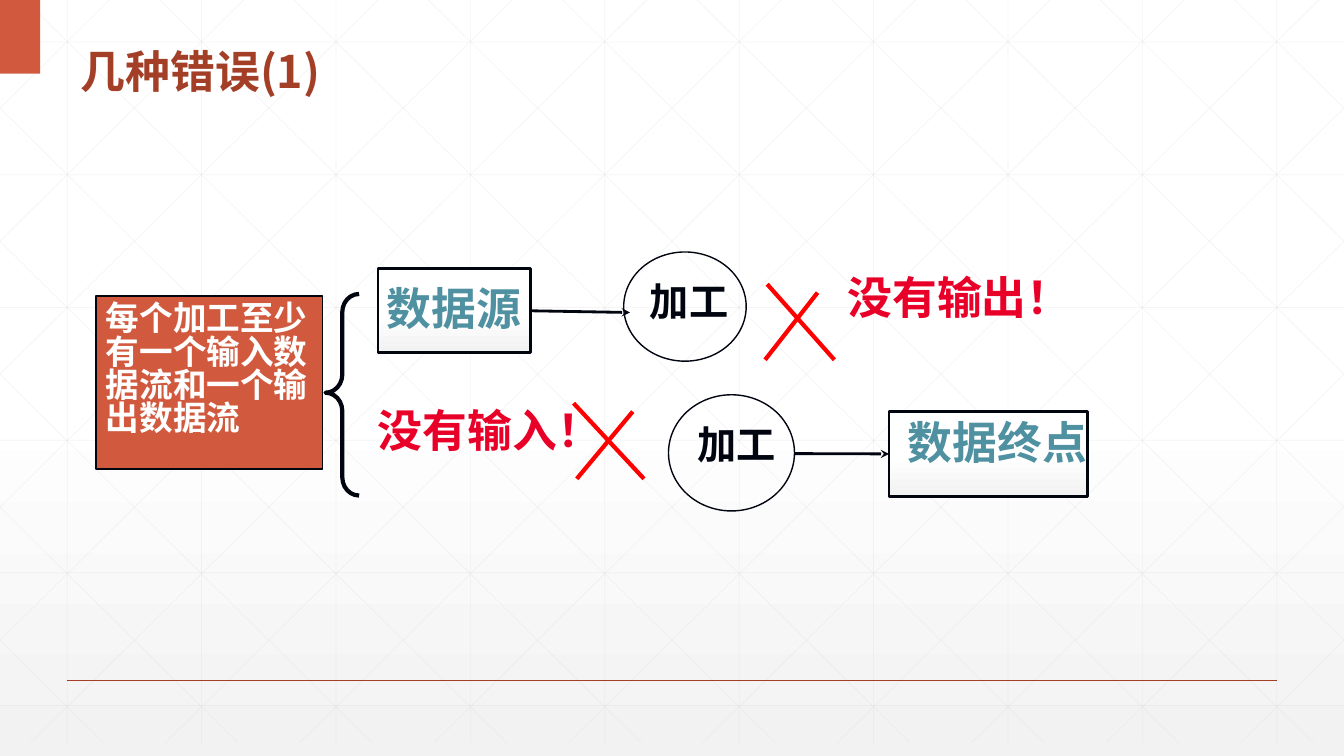
"""Build the slide on common data flow diagram errors."""
import pptx
import pptx.dml.color
import pptx.enum.shapes
import pptx.enum.text
import pptx.oxml.ns
import pptx.util
from lxml import etree

Pt = pptx.util.Pt
RGB = pptx.dml.color.RGBColor.from_string
qn = pptx.oxml.ns.qn
SHAPE = pptx.enum.shapes.MSO_SHAPE
ANCHOR = pptx.enum.text.MSO_ANCHOR
ALIGN = pptx.enum.text.PP_ALIGN
FONT = "Noto Sans CJK SC"
COLORS = {
    "white": "FFFFFF", "pale": "F2F2F2", "grid": "D9D9D9", "ink": "01050F",
    "orange": "D15A3E", "rust": "A43F27", "teal": "4F91A1",
    "crimson": "E80029", "red": "FF0000",
}


def draw_line(start, end, color, width, alpha=None, arrow=False):
    line = slide.shapes.add_connector(
        pptx.enum.shapes.MSO_CONNECTOR.STRAIGHT, *map(Pt, start + end))
    line.line.color.rgb = RGB(COLORS[color])
    line.line.width = Pt(width)
    properties = line._element.spPr
    if alpha:
        hue = properties.find(".//" + qn("a:srgbClr"))
        etree.SubElement(hue, qn("a:alpha"), val=str(alpha * 1000))
    if arrow:
        etree.SubElement(properties.find(qn("a:ln")), qn("a:tailEnd"), type="stealth")
    etree.SubElement(properties, qn("a:effectLst"))
    return line


def write(shape, text, size, color, spacing=0.92, align=ALIGN.LEFT):
    frame = shape.text_frame
    frame.text = text
    for para in frame.paragraphs:
        para.alignment = align
        para.line_spacing = spacing
        for span in para.runs:
            span.font.size = Pt(size)
            span.font.bold = True
            span.font.name = FONT
            span.font.color.rgb = RGB(COLORS[color])
            etree.SubElement(span.font._element, qn("a:ea"), typeface=FONT)


deck = pptx.Presentation()
deck.slide_width = Pt(960)
deck.slide_height = Pt(540)
slide = deck.slides.add_slide(deck.slide_layouts[5])
shapes = slide.shapes

grid_bottom = 530.6
slope = 0.99
grid = [((48 + 96 * i, 0), (48 + 96 * i, grid_bottom)) for i in range(10)]
grid += [((0, 30 + 94.8 * i), (960, 30 + 94.8 * i)) for i in range(6)]
for i in range(-5, 10):
    origin = 18 + 96 * i
    left = max(origin, 0)
    right = min(origin + grid_bottom / slope, 960)
    top, bottom = (left - origin) * slope, (right - origin) * slope
    grid.append(((left, top), (right, bottom)))
    grid.append(((960 - left, top), (960 - right, bottom)))
for start, end in grid:
    draw_line(start, end, "grid", 0.5, alpha=25)
draw_line((48, 486), (912, 486), "rust", 1)

title = shapes.title
shapes._spTree.append(title._element)
title.left, title.top, title.width, title.height = map(Pt, (50.4, 18.7, 409.7, 52.6))
title.text_frame.vertical_anchor = ANCHOR.MIDDLE
title.text_frame.auto_size = pptx.enum.text.MSO_AUTO_SIZE.NONE
write(title, "几种错误(1)", 32, "rust", spacing=1.3)

outlines = {}
for name, kind, place, fill, width in [
    ("corner", SHAPE.RECTANGLE, (0, 0, 28.8, 52.6), "orange", 0),
    ("source", SHAPE.RECTANGLE, (270, 192, 108.7, 60), None, 2),
    ("sink", SHAPE.RECTANGLE, (635, 294, 142, 60.5), None, 2),
    ("upper process", SHAPE.OVAL, (445.5, 180, 87.5, 78), None, 1),
    ("lower process", SHAPE.OVAL, (477.5, 282, 90, 83), None, 1),
    ("brace", SHAPE.LEFT_BRACE, (232.5, 210, 24, 144), None, 3),
    ("rule", SHAPE.RECTANGLE, (68.5, 211.5, 162, 123.5), "orange", 1),
]:
    shape = shapes.add_shape(kind, *map(Pt, place))
    shape.shadow.inherit = False
    if fill:
        shape.fill.solid()
        shape.fill.fore_color.rgb = RGB(COLORS[fill])
    else:
        shape.fill.background()
    if width:
        shape.line.color.rgb = RGB(COLORS["ink"])
        shape.line.width = Pt(width)
    else:
        shape.line.fill.background()
    outlines[name] = shape

outlines["brace"].adjustments[0] = 0.54
outlines["brace"].adjustments[1] = 0.49
for fill in (slide.background.fill, outlines["source"].fill, outlines["sink"].fill):
    fill.gradient()
    fill.gradient_angle = 270
    for stop, position, color in zip(fill.gradient_stops, (0.53, 1), ("white", "pale")):
        stop.position = position
        stop.color.rgb = RGB(COLORS[color])

write(outlines["source"], "数据源", 32, "teal", align=ALIGN.CENTER)
outlines["source"].text_frame.word_wrap = False
write(outlines["rule"], "每个加工至少有一个输入数\n据流和一个输出数据流", 24, "white", spacing=0.83)
outlines["rule"].text_frame.vertical_anchor = ANCHOR.TOP
outlines["rule"].text_frame.margin_top = Pt(5.5)

for text, place, size, color in [
    ("数据终点", (641.5, 296.6, 149, 45.4), 32, "teal"),
    ("没有输出！", (598.3, 193, 177.8, 45.4), 32, "crimson"),
    ("没有输入！", (262.8, 288, 185, 45.4), 32, "crimson"),
    ("加工", (457.2, 198, 80, 41), 28, "ink"),
    ("加工", (491, 300.2, 71.3, 41), 28, "ink"),
]:
    box = shapes.add_textbox(*map(Pt, place))
    box.text_frame.word_wrap = True
    write(box, text, size, color)

to_process = draw_line((378.7, 222), (450, 223.2), "ink", 2, arrow=True)
to_process.begin_connect(outlines["source"], 3)
to_sink = draw_line((567.5, 324), (635, 325), "ink", 2, arrow=True)
to_sink.end_connect(outlines["sink"], 1)
for start, end in [
    ((548, 203), (596, 257)), ((584, 209), (546.5, 257)),
    ((409.7, 288), (460, 342)), ((452, 294), (412, 342)),
]:
    draw_line(start, end, "red", 3)

deck.save("out.pptx")
